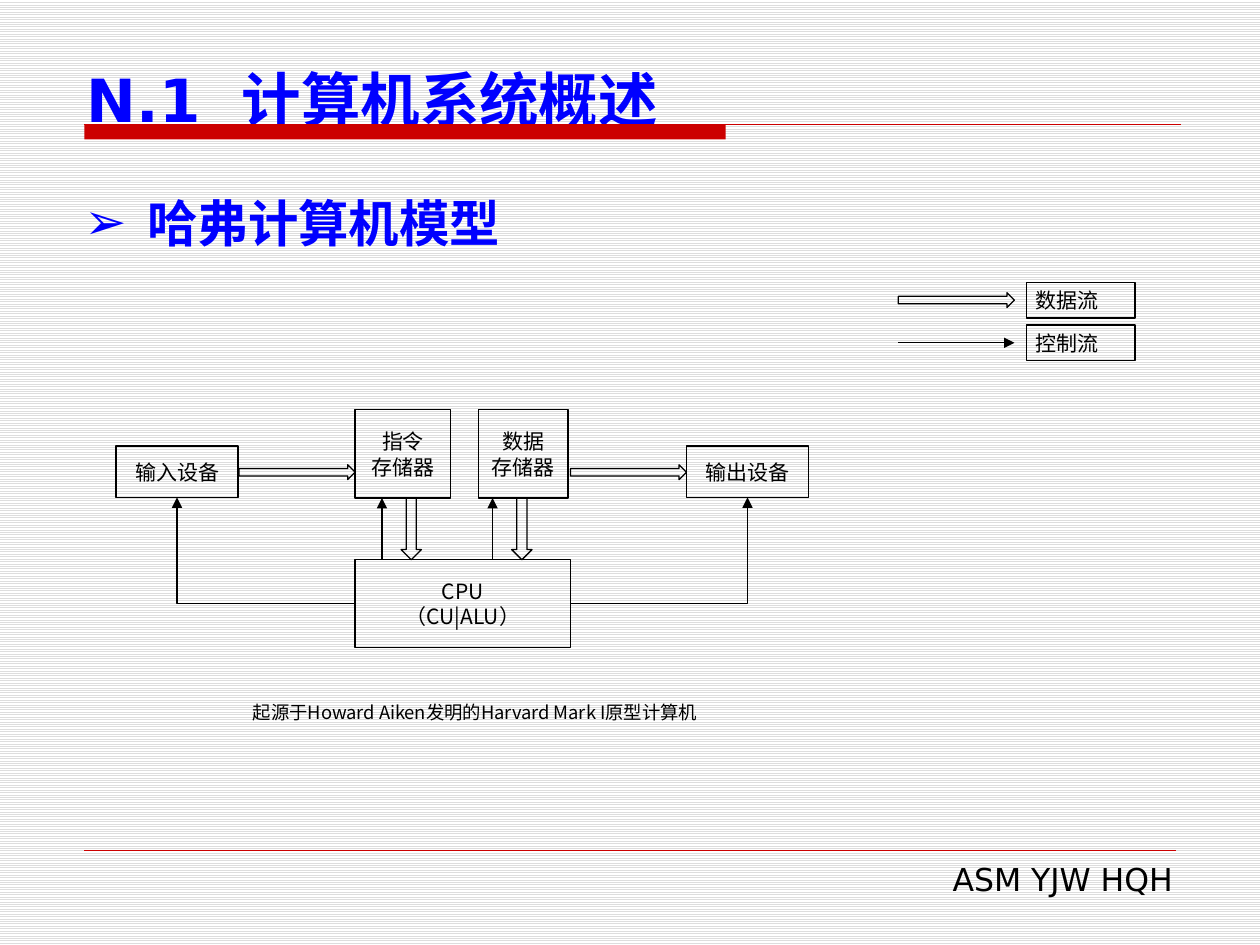
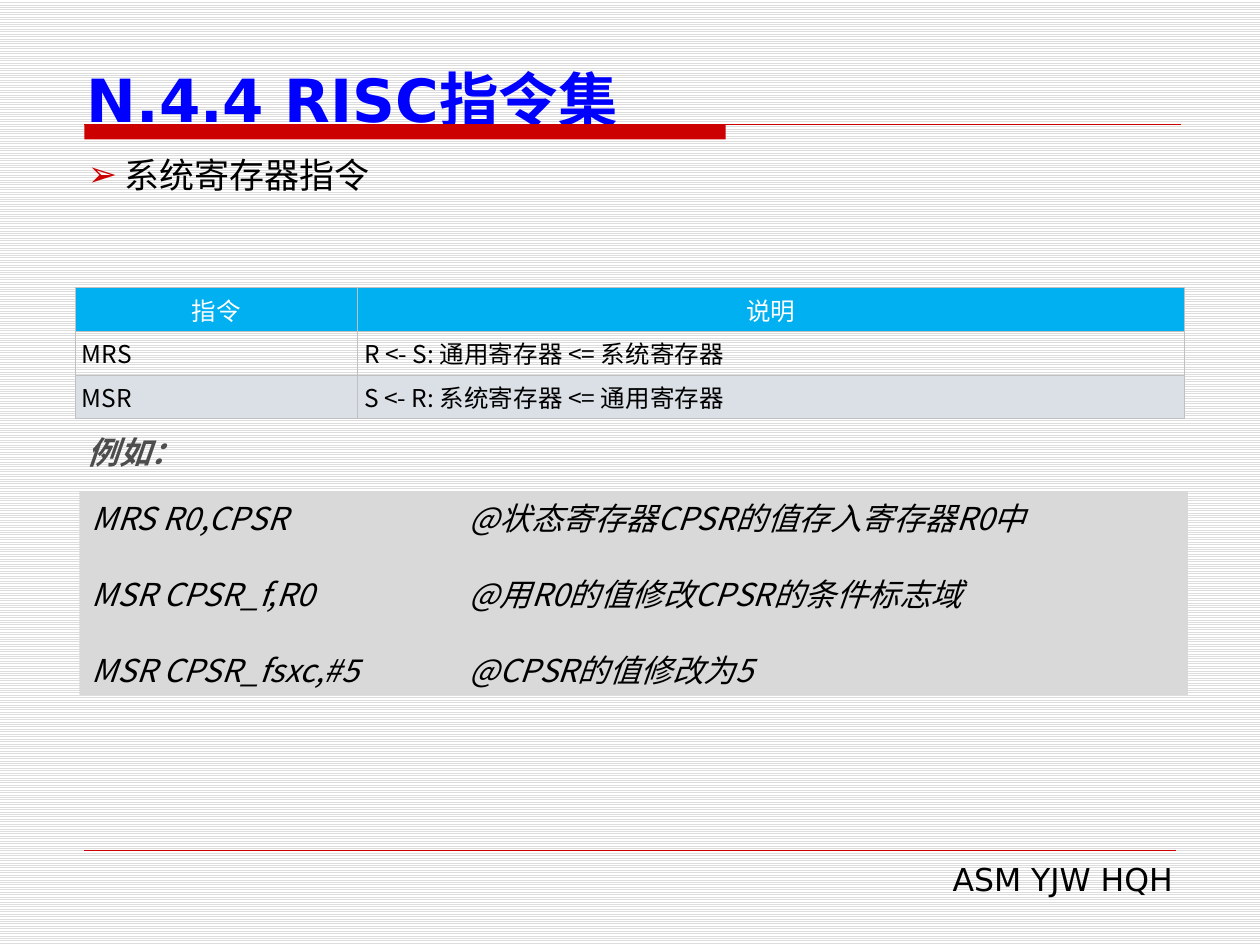
from lxml import etree
from pptx import Presentation
from pptx import util as u
from pptx.dml.color import RGBColor
from pptx.enum import dml, shapes, text
from pptx.oxml.ns import qn

Cm, Pt = u.Cm, u.Pt
SHAPE, ALIGN, ANCHOR = shapes.MSO_SHAPE, text.PP_ALIGN, text.MSO_ANCHOR
HEAD, SANS = "DejaVu Sans", "Noto Sans CJK SC"
RED, BLUE, BLACK, WHITE = "CC0000", "0000FF", "000000", "FFFFFF"
SKY, MIST, SILVER = "00B0F0", "DAE0E6", "C0C0C0"
GREY, DARK, RULE = "D9D9D9", "4D4D4D", "DDDDDD"
ROOMY, TIGHT, BARE = (0.25, 0.13), (0.18, 0.1), (0, 0)


def rgb(code):
    return RGBColor.from_string(code)


def node(parent, tag, **attrs):
    return etree.SubElement(parent, qn(tag), attrs)


def place(shape, box):
    shape.left, shape.top, shape.width, shape.height = map(Cm, box)


def setup(frame, pad, anchor):
    """Set wrapping, insets and anchor of a text frame."""
    frame.word_wrap = True
    frame.auto_size = text.MSO_AUTO_SIZE.NONE
    frame.margin_left = frame.margin_right = Cm(pad[0])
    frame.margin_top = frame.margin_bottom = Cm(pad[1])
    frame.vertical_anchor = anchor


def bullet(para, hang, color):
    props = para._p.get_or_add_pPr()
    props.set("marL", str(Cm(hang)))
    props.set("indent", str(-Cm(hang)))
    node(node(props, "a:buClr"), "a:srgbClr", val=color)
    node(props, "a:buChar", char="➢")


def tab(para, pos):
    stops = node(para._p.get_or_add_pPr(), "a:tabLst")
    node(stops, "a:tab", pos=str(Cm(pos)), algn="l")


class Deck:
    def __init__(self):
        self.prs = Presentation()
        self.prs.slide_width, self.prs.slide_height = Cm(25.4), Cm(19.05)
        fill = self.prs.slide_master.background.fill
        fill.patterned()
        fill.pattern = dml.MSO_PATTERN.LIGHT_HORIZONTAL
        fill.fore_color.rgb, fill.back_color.rgb = rgb(RULE), rgb(WHITE)

    def page(self, title):
        """Start a slide with its title, red band and footer."""
        self.slide = self.prs.slides.add_slide(self.prs.slide_layouts[1])
        self.shapes = self.slide.shapes
        self.shape((1.7, 2.51, 12.93, 0.3), fill=RED, line=None)
        self.line((1.7, 2.51), (23.8, 2.51), RED)
        self.line((1.7, 17.15), (23.7, 17.15), RED, 0.25)
        self.label((9.7, 17.2, 14.2, 1.02), "ASM YJW HQH", 18,
                   font=HEAD, align=ALIGN.RIGHT)
        head = self.shapes.title
        place(head, (1.75, 1.19, 22.35, 1.52))
        setup(head.text_frame, BARE, ANCHOR.TOP)
        self.words(head.text_frame, [title], 34, BLUE, HEAD, bold=True, pitch=43)

    def words(self, frame, lines, size, color=BLACK, font=SANS, bold=False,
              italic=False, align=ALIGN.LEFT, pitch=None, gap=0):
        """Fill a frame, one paragraph a line; pitch and gap are in points."""
        for i, line in enumerate(lines):
            para = frame.add_paragraph() if i else frame.paragraphs[0]
            para.alignment = align
            para.space_before = Pt(0)
            para.space_after = Pt(gap if i < len(lines) - 1 else 0)
            if pitch:
                para.line_spacing = Pt(pitch)
            run = para.add_run()
            run.text = line
            style = run.font
            style.size, style.bold, style.italic = Pt(size), bold, italic
            style.color.rgb = rgb(color)
            style.name = font
            node(run._r.get_or_add_rPr(), "a:ea", typeface=SANS)

    def body(self, box, line, size, hang, mark, pad, **style):
        """Use the body placeholder for one bulleted line."""
        shape = self.slide.placeholders[1]
        place(shape, box)
        setup(shape.text_frame, pad, ANCHOR.TOP)
        bullet(shape.text_frame.paragraphs[0], hang, mark)
        self.words(shape.text_frame, [line], size, **style)

    def label(self, box, line, size, anchor=ANCHOR.TOP, **style):
        frame = self.shapes.add_textbox(*map(Cm, box)).text_frame
        setup(frame, ROOMY, anchor)
        self.words(frame, [line], size, **style)

    def shape(self, box, kind=SHAPE.RECTANGLE, fill=None, line=BLACK, turn=0):
        shape = self.shapes.add_shape(kind, *map(Cm, box))
        shape.shadow.inherit = False
        shape.rotation = turn
        if fill:
            shape.fill.solid()
            shape.fill.fore_color.rgb = rgb(fill)
        else:
            shape.fill.background()
        if line:
            shape.line.color.rgb = rgb(line)
            shape.line.width = Pt(0.75)
        else:
            shape.line.fill.background()
        return shape

    def block(self, box, *lines, align=ALIGN.CENTER):
        shape = self.shape(box)
        setup(shape.text_frame, TIGHT, ANCHOR.MIDDLE)
        self.words(shape.text_frame, lines, 12, align=align, pitch=14.6)
        return shape

    def flow(self, box, turn=0):
        self.shape(box, SHAPE.RIGHT_ARROW, turn=turn)

    def line(self, start, end, color=BLACK, width=0.75, head=False,
             kind=shapes.MSO_CONNECTOR.STRAIGHT):
        link = self.shapes.add_connector(kind, *map(Cm, start + end))
        link.line.color.rgb = rgb(color)
        link.line.width = Pt(width)
        if head:
            node(link.line._get_or_add_ln(), "a:tailEnd", type="triangle")
        node(link.element.spPr, "a:effectLst")
        return link

    def bend(self, source, side, target):
        """Run an arrow from a side of source up to the bottom of target."""
        link = self.line((0, 0), (1, 1), head=True,
                         kind=shapes.MSO_CONNECTOR.ELBOW)
        link.begin_connect(source, side)
        link.end_connect(target, 2)
        link.element.spPr.find(qn("a:prstGeom")).set("prst", "bentConnector2")

    def table(self, spot, widths, height, rows):
        size = (sum(widths), height * len(rows))
        table = self.shapes.add_table(len(rows), len(widths),
                                      *map(Cm, spot + size)).table
        table.first_row = table.horz_banding = False
        for col, width in zip(table.columns, widths):
            col.width = Cm(width)
        for r, row in enumerate(rows):
            table.rows[r].height = Cm(height)
            for c, entry in enumerate(row):
                self.cell(table.cell(r, c), entry, r)

    def cell(self, cell, entry, row):
        cell.margin_left = cell.margin_right = Cm(0.13)
        cell.margin_top = cell.margin_bottom = Cm(0.07)
        cell.vertical_anchor = ANCHOR.MIDDLE
        props = cell._tc.get_or_add_tcPr()
        for side in "LRTB":
            edge = node(props, f"a:ln{side}", w=str(Pt(0.38)))
            node(node(edge, "a:solidFill"), "a:srgbClr", val=SILVER)
        fill = (SKY, None, MIST)[row]
        if fill:
            cell.fill.solid()
            cell.fill.fore_color.rgb = rgb(fill)
        else:
            cell.fill.background()
        self.words(cell.text_frame, [entry], 14, BLACK if row else WHITE,
                   align=ALIGN.LEFT if row else ALIGN.CENTER)

    def panel(self, box, lines, stop):
        """Draw a grey panel of code with comments at a tab stop."""
        frame = self.shape(box, fill=GREY, line=None).text_frame
        setup(frame, ROOMY, ANCHOR.TOP)
        self.words(frame, lines, 18, italic=True, pitch=22.6, gap=20.8)
        for para in frame.paragraphs:
            tab(para, stop)


def model(deck):
    deck.page("N.1  计算机系统概述")
    deck.body((1.7, 3.12, 22.35, 1.98), "哈弗计算机模型", 28.8, 1.27, BLUE, BARE,
              color=BLUE, font=HEAD, bold=True, pitch=56)

    deck.block((7.16, 8.26, 1.93, 1.78), "指令", "存储器")
    deck.block((9.65, 8.26, 1.8, 1.78), "数据", "存储器")
    cpu = deck.block((7.16, 11.28, 4.34, 1.78), "CPU", "（CU|ALU）")
    source = deck.block((2.34, 8.99, 2.46, 1.04), "输入设备")
    sink = deck.block((13.84, 8.99, 2.46, 1.04), "输出设备")

    for x in (4.82, 11.5):
        deck.flow((x, 9.37, 2.34, 0.3))
    for x in (7.7, 9.93):
        deck.line((x, 11.28), (x, 10.04), head=True)
        deck.flow((x - 0.03, 10.46, 1.24, 0.41), turn=90)
    deck.bend(cpu, 1, source)
    deck.bend(cpu, 3, sink)

    deck.flow((18.11, 5.9, 2.34, 0.3))
    deck.line((18.11, 6.91), (20.45, 6.91), head=True)
    for y, name in ((5.69, "数据流"), (6.55, "控制流")):
        deck.block((20.7, y, 2.18, 0.72), name, align=ALIGN.LEFT)
    deck.label((4.85, 13.84, 11.76, 1.02),
               "起源于Howard Aiken发明的Harvard Mark I原型计算机", 10.5,
               anchor=ANCHOR.MIDDLE)


def orders(deck):
    deck.page("N.4.4 RISC指令集")
    deck.body((1.52, 2.92, 22.35, 13.56), "系统寄存器指令", 20, 0.74, RED, ROOMY,
              pitch=25)
    deck.table((1.52, 5.8), (5.69, 16.66), 0.88, [
        ("指令", "说明"),
        ("MRS", "R <- S: 通用寄存器 <= 系统寄存器"),
        ("MSR", "S <- R: 系统寄存器 <= 通用寄存器"),
    ])
    deck.label((1.52, 8.56, 22.48, 1.02), "例如：", 18, color=DARK, bold=True,
               italic=True, pitch=22.6)
    deck.panel((1.6, 9.9, 22.35, 4.11), [
        "MRS R0,CPSR\t@状态寄存器CPSR的值存入寄存器R0中",
        "MSR CPSR_f,R0\t@用R0的值修改CPSR的条件标志域",
        "MSR CPSR_fsxc,#5\t@CPSR的值修改为5",
    ], 7.62)


def main():
    deck = Deck()
    model(deck)
    orders(deck)
    deck.prs.save("out.pptx")


if __name__ == "__main__":
    main()
